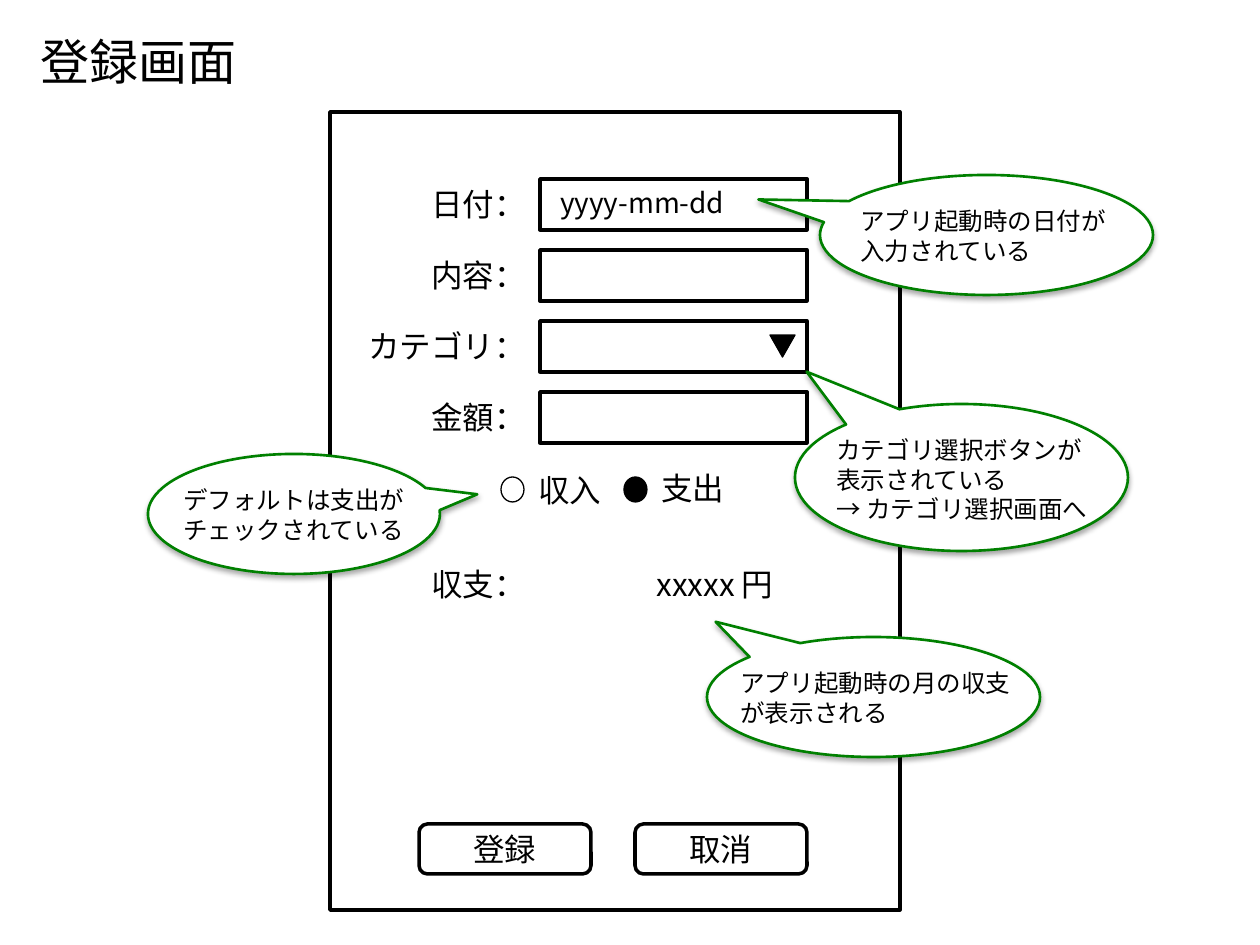
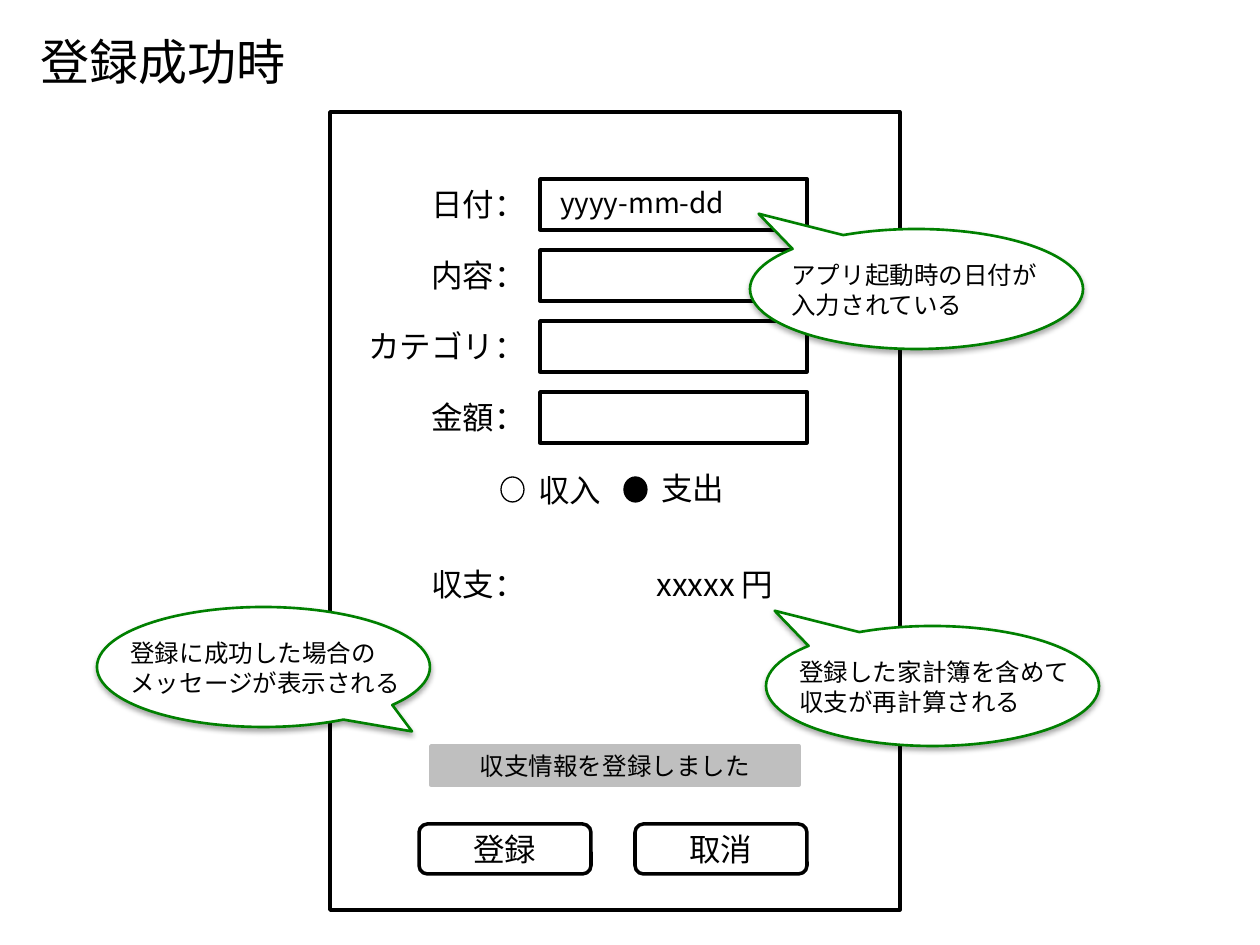
import lxml.etree
import pptx
import pptx.dml.color
import pptx.enum.shapes
import pptx.enum.text
import pptx.oxml.ns
import pptx.util

KINDS = pptx.enum.shapes.MSO_SHAPE
FONT = "Noto Sans CJK JP"
BLACK, WHITE, GREEN, GREY = "000000", "FFFFFF", "008000", "BFBFBF"
FIELD_LEFT, FIELD_TOP, FIELD_WIDTH, FIELD_HEIGHT, FIELD_STEP = 540, 179, 267, 51, 71
LABELS = [("日付：", 121), ("内容：", 121), ("カテゴリ：", 184), ("金額：", 121)]


def px(length):
    """Turn pixels into EMU."""
    return pptx.util.Emu(round(length * 914400 / 126))


def paint(color_format, color):
    """Apply a hex colour to a fill or a font colour."""
    if hasattr(color_format, "solid"):
        color_format.solid()
        color_format = color_format.fore_color
    color_format.rgb = pptx.dml.color.RGBColor.from_string(color)


def write(shape, text, size, align=None):
    """Write black text into a shape, one paragraph per line."""
    shape.text_frame.text = text
    for para in shape.text_frame.paragraphs:
        para.alignment = align
        for span in para.runs:
            span.font.size = pptx.util.Pt(size)
            span.font.name = FONT
            paint(span.font.color, BLACK)
            properties = span.font._element
            east_asian = lxml.etree.SubElement(properties, pptx.oxml.ns.qn("a:ea"))
            east_asian.set("typeface", FONT)


def add_text(holder, at, text, size, wrap=False):
    """Add a text box that grows with its text."""
    box = holder.shapes.add_textbox(*map(px, at))
    write(box, text, size)
    box.text_frame.word_wrap = wrap
    box.text_frame.auto_size = pptx.enum.text.MSO_AUTO_SIZE.SHAPE_TO_FIT_TEXT


def add_shape(holder, kind, at, fill=None, line=BLACK, weight=2.0):
    """Add an outlined preset shape without a shadow."""
    shape = holder.shapes.add_shape(kind, *map(px, at))
    shape.shadow.inherit = False
    if fill:
        paint(shape.fill, fill)
    else:
        shape.fill.background()
    paint(shape.line.fill, line)
    shape.line.width = pptx.util.Pt(weight)
    return shape


def add_centred(holder, kind, at, text, size, **look):
    """Add a shape with its text in the middle."""
    shape = add_shape(holder, kind, at, **look)
    write(shape, text, size, pptx.enum.text.PP_ALIGN.CENTER)
    shape.text_frame.vertical_anchor = pptx.enum.text.MSO_ANCHOR.MIDDLE


def add_soft_shadow(shape):
    """Give a shape a soft shadow below it."""
    effects = shape.element.spPr.find(pptx.oxml.ns.qn("a:effectLst"))
    shadow = lxml.etree.SubElement(effects, pptx.oxml.ns.qn("a:outerShdw"))
    for name, value in (("blurRad", 40000), ("dist", 23000), ("dir", 5400000), ("rotWithShape", 0)):
        shadow.set(name, str(value))
    color = lxml.etree.SubElement(shadow, pptx.oxml.ns.qn("a:srgbClr"), val=BLACK)
    lxml.etree.SubElement(color, pptx.oxml.ns.qn("a:alpha"), val="35000")


def add_callout(page, at, tail, text, inset, text_width):
    """Add a green speech bubble with its remark."""
    group = page.shapes.add_group_shape()
    bubble = add_shape(group, KINDS.OVAL_CALLOUT, at, WHITE, GREEN, 1.5)
    bubble.adjustments[0], bubble.adjustments[1] = tail
    add_soft_shadow(bubble)
    height = 13 + 30 * len(text.split("\n"))
    add_text(group, (at[0] + inset, at[1] + 25, text_width, height), text, 14)


def add_form(page):
    """Draw the entry screen that both slides show."""
    form = page.shapes.add_group_shape()
    add_shape(form, KINDS.RECTANGLE, (330, 112, 570, 798))
    for row, (label, width) in enumerate(LABELS):
        top = FIELD_TOP + row * FIELD_STEP
        add_text(form, (FIELD_LEFT - width, top, width, FIELD_HEIGHT), label, 18)
        add_shape(form, KINDS.RECTANGLE, (FIELD_LEFT, top, FIELD_WIDTH, FIELD_HEIGHT))
    add_text(form, (548, FIELD_TOP, 203, 47), "yyyy-mm-dd", 16)
    for left, top, label, fill in ((501, 465, "収入", WHITE), (624, 463, "支出", BLACK)):
        add_shape(form, KINDS.OVAL, (left, 477, 23, 25), fill, weight=0.75)
        add_text(form, (left + 25, top, 89, 51), label, 18)
    add_text(form, (419, 559, 121, 51), "収支：", 18)
    add_text(form, (644, 559, 163, 51), "xxxxx 円", 18, wrap=True)
    for left, label in ((419, "登録"), (635, "取消")):
        add_centred(form, KINDS.ROUNDED_RECTANGLE, (left, 824, 172, 50), label, 18)


def add_page(deck, title, title_width):
    """Add a slide with its title and the form."""
    page = deck.slides.add_slide(deck.slide_layouts[6])
    add_text(page, (28, 25, title_width, 72), title, 28)
    add_form(page)
    return page


def build_entry(deck):
    """Build the slide of the entry screen."""
    page = add_page(deck, "登録画面", 223)
    add_callout(page, (707, 637, 333, 120), (-0.474, -0.627),
                "アプリ起動時の月の収支\nが表示される", 21, 297)
    add_callout(page, (820, 175, 333, 120), (-0.685, -0.296),
                "アプリ起動時の日付が\n入力されている", 28, 273)
    arrow = add_shape(page, KINDS.ISOSCELES_TRIANGLE, (770, 335, 25, 22), BLACK, weight=0.75)
    arrow.rotation = 180
    add_callout(page, (795, 404, 333, 147), (-0.465, -0.72),
                "カテゴリ選択ボタンが\n表示されている\n→ カテゴリ選択画面へ", 29, 282)
    add_callout(page, (148, 454, 292, 120), (0.628, -0.164),
                "デフォルトは支出が\nチェックされている", 23, 248)


def build_success(deck):
    """Build the slide shown after a successful entry."""
    page = add_page(deck, "登録成功時", 273)
    add_callout(page, (766, 626, 333, 120), (-0.474, -0.627),
                "登録した家計簿を含めて\n収支が再計算される", 21, 297)
    add_callout(page, (750, 229, 333, 120), (-0.474, -0.627),
                "アプリ起動時の日付が\n入力されている", 29, 273)
    add_centred(page, KINDS.RECTANGLE, (431, 746, 368, 39), "収支情報を登録しました", 14,
                fill=GREY, line=GREY)
    add_callout(page, (97, 607, 333, 120), (0.446, 0.537),
                "登録に成功した場合の\nメッセージが表示される", 21, 297)


def main():
    """Build and save the deck."""
    deck = pptx.Presentation()
    deck.slide_width, deck.slide_height = px(1260), px(945)
    build_entry(deck)
    build_success(deck)
    deck.save("out.pptx")


main()
